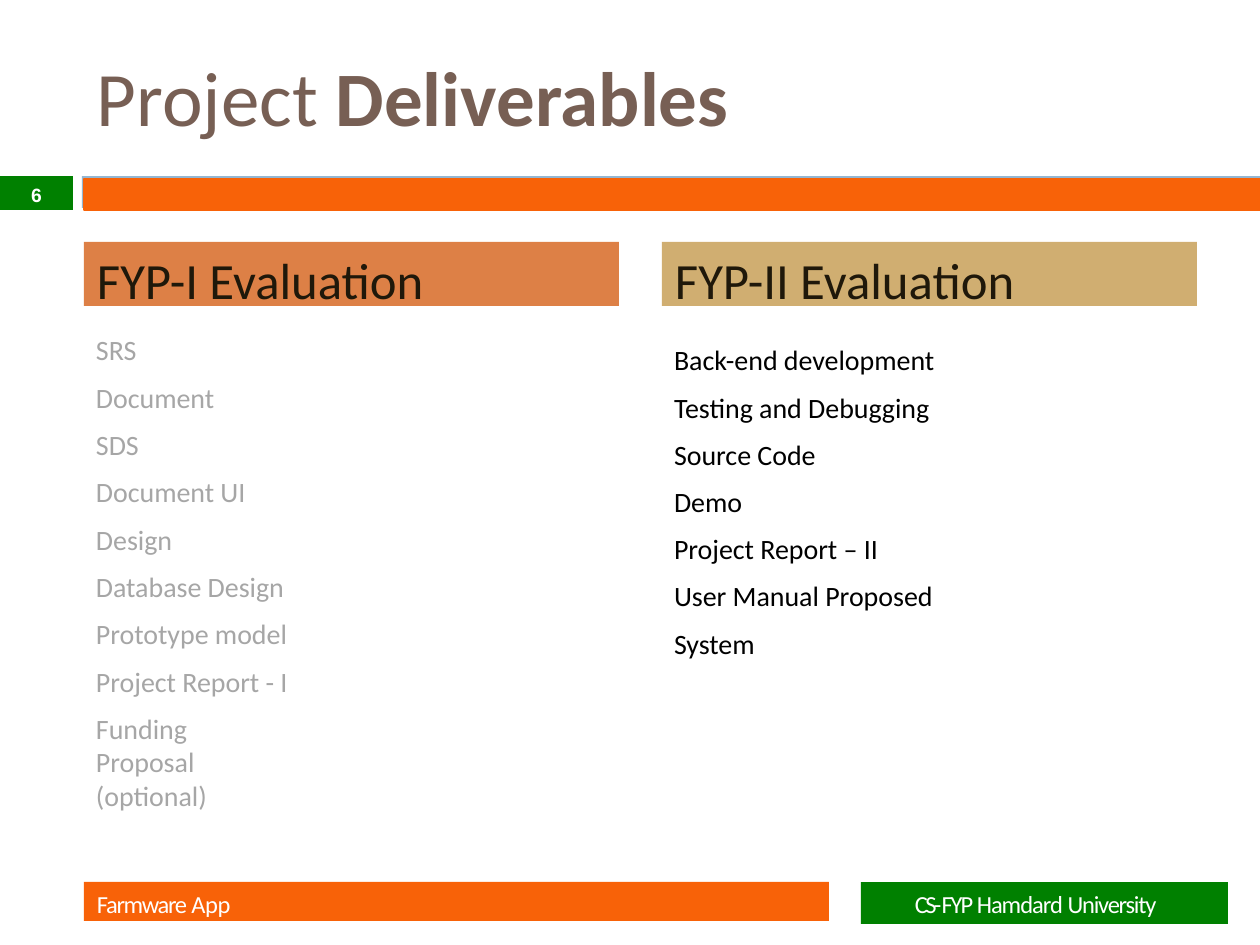
from pptx import Presentation
from pptx import util as u
from pptx.dml.color import RGBColor
from pptx.enum import shapes, text
from pptx.oxml.ns import qn
from lxml import etree

PX = 914400 / 126
HUE = {"orange": "F86208", "blue": "93B6D2", "green": "008000",
       "rust": "DD8046", "sand": "D0AE71", "brown": "775F54",
       "dark": "1F180A", "gray": "A6A6A6", "black": "000000",
       "white": "FFFFFF"}
LEFT = [("SRS Document SDS Document UI Design", 1.41, 0, 152),
        ("Database Design Prototype model Project Report - I", 1.41, 0, 100),
        ("Funding Proposal (optional)", 1, 7.7, 152)]
RIGHT = [("Back-end development Testing and Debugging Source Code", 1.41, 0, 50),
         ("Demo", 1, 7.7, 0),
         ("Project Report – II", 1, 7.7, 0),
         ("User Manual Proposed System", 1.41, 0, 50)]


def px(n):
    """Turn pixels into EMU."""
    return u.Emu(round(n * PX))


def rgb(name):
    """Look up a named colour."""
    return RGBColor.from_string(HUE[name])


def place(item, box):
    """Set position and size from a pixel box."""
    item.left, item.top, item.width, item.height = map(px, box)


def frame(item, left=0, top=0):
    """Prepare a wrapping, top-anchored text frame."""
    tf = item.text_frame
    tf.word_wrap = True
    tf.auto_size = text.MSO_AUTO_SIZE.NONE
    tf.vertical_anchor = text.MSO_ANCHOR.TOP
    tf.margin_left, tf.margin_top = px(left), px(top)
    tf.margin_right = tf.margin_bottom = 0
    return tf


def run(para, words, size, hue, font="Calibri", bold=False, gap=0):
    """Add one formatted run, with letter spacing in points."""
    r = para.add_run()
    r.text = words
    r.font.size, r.font.name, r.font.bold = u.Pt(size), font, bold
    r.font.color.rgb = rgb(hue)
    if gap:
        r.font._element.set("spc", str(round(gap * 100)))


def bar(slide, box, fill, line=None):
    """Draw a flat rectangle."""
    s = slide.shapes.add_shape(shapes.MSO_SHAPE.RECTANGLE, *map(px, box))
    s.shadow.inherit = False
    s.fill.solid()
    s.fill.fore_color.rgb = rgb(fill)
    if line:
        s.line.color.rgb = rgb(line)
        s.line.width = u.Pt(1.5)
    else:
        s.line.fill.background()
    return s


def label(item, left, top, runs, size, hue, lead=None, align="LEFT", **kw):
    """Write one line of runs, each a pair of words and letter spacing."""
    para = frame(item, left, top).paragraphs[0]
    para.alignment = getattr(text.PP_ALIGN, align)
    if lead:
        para.line_spacing = u.Pt(lead)
    for words, gap in runs:
        run(para, words, size, hue, gap=gap, **kw)


def title(slide):
    """Fill the title placeholder."""
    item = slide.shapes.title
    place(item, (97, 49, 702, 97))
    para = frame(item).paragraphs[0]
    para.alignment = text.PP_ALIGN.LEFT
    run(para, "Project ", 44, "brown")
    run(para, "Deliverables", 44, "brown", bold=True)


def items(holder, box, rows, hue):
    """Fill a body placeholder with unbulleted paragraphs."""
    place(holder, box)
    tf = frame(holder)
    for i, (words, lead, before, right) in enumerate(rows):
        para = tf.add_paragraph() if i else tf.paragraphs[0]
        para.line_spacing = lead
        para.space_before = u.Pt(before)
        ppr = para._p.get_or_add_pPr()
        for key, val in (("marL", 0), ("marR", px(right)), ("indent", 0)):
            ppr.set(key, str(int(val)))
        etree.SubElement(ppr, qn("a:buNone"))
        run(para, words, 16, hue)


def main():
    """Build the slide and save it."""
    prs = Presentation()
    prs.slide_width, prs.slide_height = px(1260), px(945)
    slide = prs.slides.add_slide(prs.slide_layouts[3])
    title(slide)
    items(slide.placeholders[1], (96, 319, 309, 500), LEFT, "gray")
    items(slide.placeholders[2], (674, 329, 335, 333), RIGHT, "black")

    bar(slide, (82, 176, 1178, 32), "blue")
    bar(slide, (84, 179, 1176, 31), "orange", "orange")
    label(bar(slide, (0, 176, 73, 34), "green"), 0, 7, [("6", -0.5)],
          11, "white", align="CENTER", font="Arial", bold=True)

    for x, words, fill in ((84, "FYP-I Evaluation", "rust"),
                           (662, "FYP-II Evaluation", "sand")):
        label(bar(slide, (x, 242, 535, 64), fill), 13, 7,
              [(words, 0)], 29, "dark")

    label(bar(slide, (84, 882, 745, 39), "orange"), 13, 8,
          [("Farmware ", -0.8), ("App", -0.2)], 14, "white", lead=16)
    label(bar(slide, (861, 882, 367, 42), "green"), 54, 8,
          [("CS-", -1.5), ("FYP ", -1.2), ("Hamdard ", -0.6),
           ("University", -0.7)], 14, "white", lead=16)
    prs.save("out.pptx")


if __name__ == "__main__":
    main()
